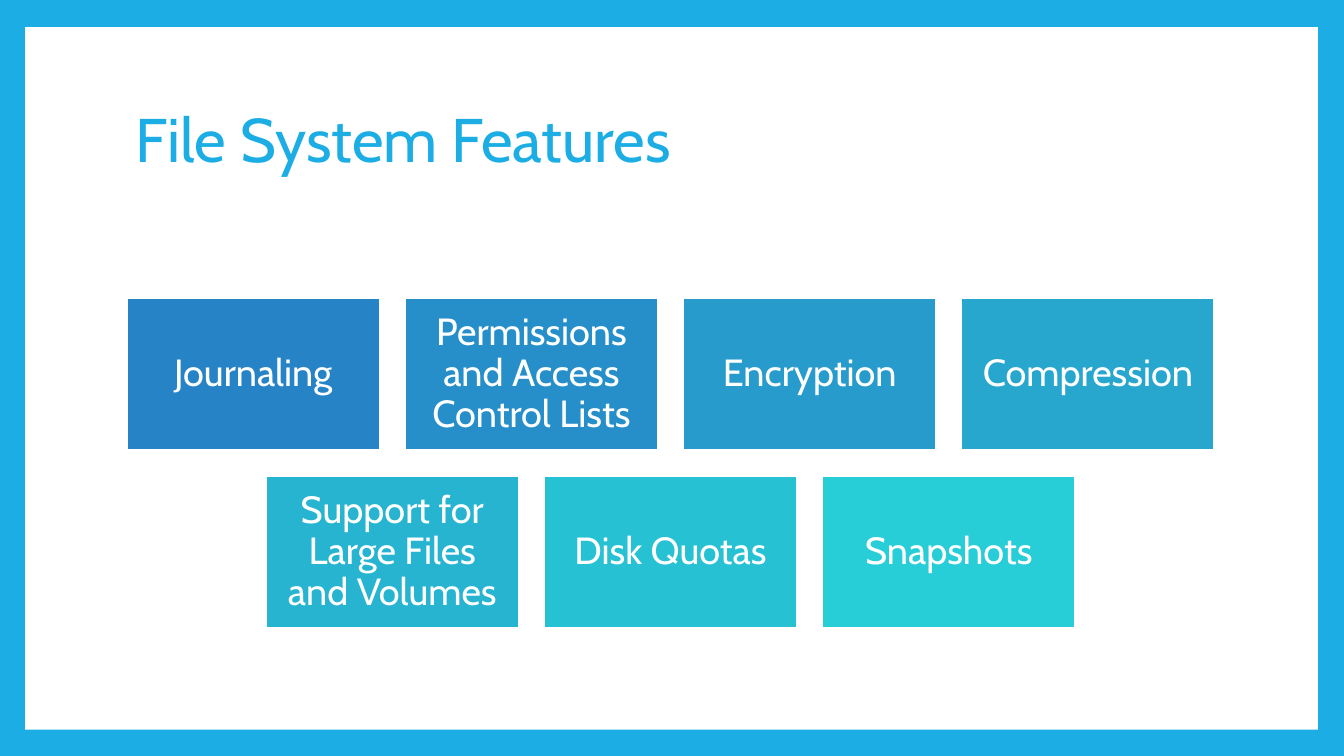
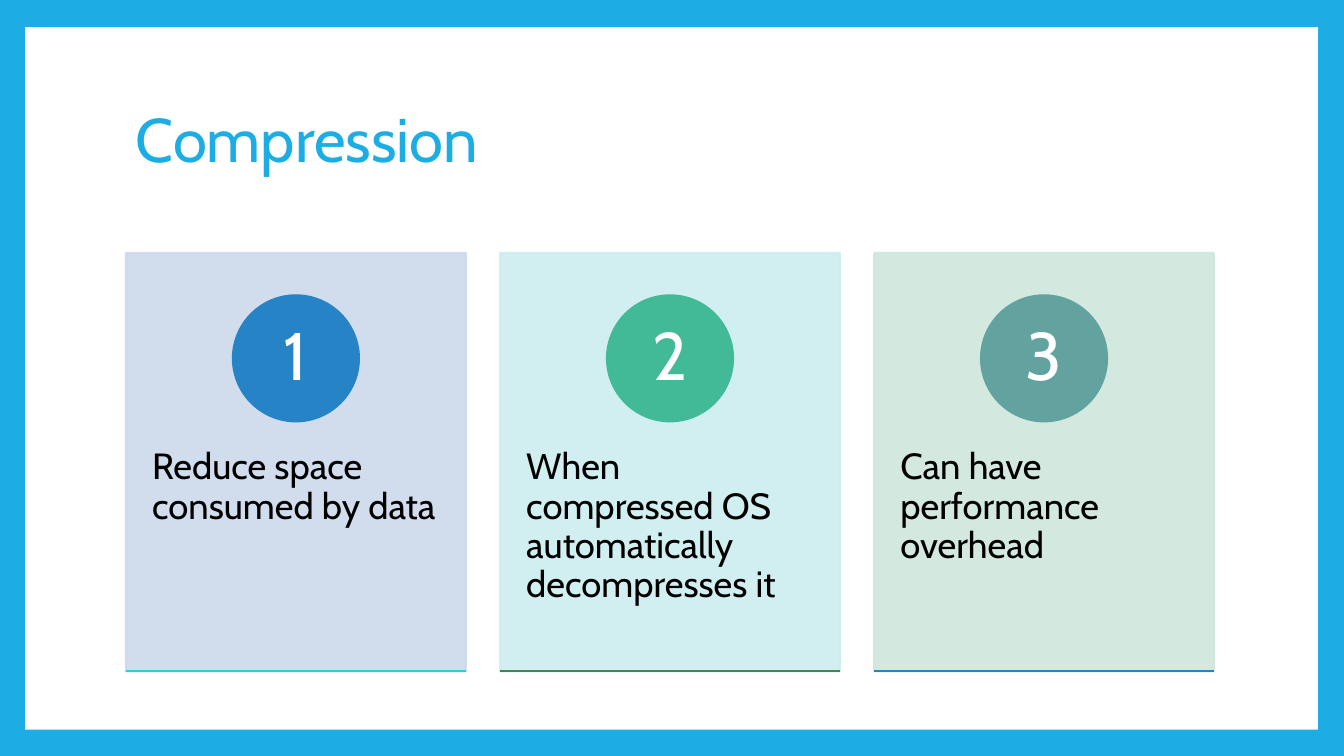
"""Build two slides on file system features and compression."""
import pptx
import pptx.dml.color
import pptx.enum.shapes
import pptx.enum.text
import pptx.oxml.ns
import pptx.util
from lxml import etree

Inches, Pt = pptx.util.Inches, pptx.util.Pt
RGBColor = pptx.dml.color.RGBColor
MSO_SHAPE = pptx.enum.shapes.MSO_SHAPE
MSO_ANCHOR = pptx.enum.text.MSO_ANCHOR
PP_ALIGN = pptx.enum.text.PP_ALIGN
qn = pptx.oxml.ns.qn

FONT = "Cabin"
WHITE = RGBColor(0xFF, 0xFF, 0xFF)
BLACK = RGBColor(0x00, 0x00, 0x00)
SKY = RGBColor(0x1C, 0xAD, 0xE4)
BLUE = RGBColor(0x26, 0x83, 0xC6)
TURQUOISE = RGBColor(0x27, 0xCE, 0xD7)
MINT = RGBColor(0x42, 0xBA, 0x97)
GREEN = RGBColor(0x3E, 0x88, 0x53)
TEAL = RGBColor(0x62, 0xA3, 0x9F)
PALE_BLUE = RGBColor(0xCD, 0xD9, 0xEA)
PALE_CYAN = RGBColor(0xCD, 0xED, 0xF0)
PALE_GREEN = RGBColor(0xCF, 0xE7, 0xDD)

FEATURE_ROWS = [
    [("Journaling", BLUE),
     ("Permissions and Access Control Lists", RGBColor(0x26, 0x8F, 0xC9)),
     ("Encryption", RGBColor(0x26, 0x9B, 0xCC)),
     ("Compression", RGBColor(0x27, 0xA7, 0xCE))],
    [("Support for Large Files and Volumes", RGBColor(0x27, 0xB4, 0xD1)),
     ("Disk Quotas", RGBColor(0x27, 0xC1, 0xD4)),
     ("Snapshots", TURQUOISE)],
]
COMPRESSION_POINTS = [
    ("Reduce space consumed by data", PALE_BLUE, BLUE, TURQUOISE),
    ("When compressed OS automatically decompresses it", PALE_CYAN, MINT, GREEN),
    ("Can have performance overhead", PALE_GREEN, TEAL, BLUE),
]

LEFT, CONTENT_W = 1.25, 10.8
CENTER = LEFT + CONTENT_W / 2
TILE_W, TILE_H, TILE_GAP, TILE_TOP = 2.51, 1.51, 0.25, 2.96
CARD_W, CARD_H, CARD_TOP = 3.37, 4.15, 2.51
CARD_STEP = 3.71
CIRCLE, CIRCLE_TOP = 1.25, 2.93


def write(shape, text, size=26, color=WHITE, align=PP_ALIGN.CENTER,
          anchor=MSO_ANCHOR.MIDDLE, insets=(0.1, 0.05, 0.1, 0.05)):
    """Put one formatted paragraph into a shape."""
    tf = shape.text_frame
    tf.word_wrap = True
    tf.vertical_anchor = anchor
    tf.margin_left, tf.margin_top, tf.margin_right, tf.margin_bottom = map(Inches, insets)
    p = tf.paragraphs[0]
    p.alignment = align
    p.line_spacing = 0.9
    r = p.add_run()
    r.text = text
    r.font.name = FONT
    r.font.size = Pt(size)
    r.font.color.rgb = color


def add_box(s, kind, left, top, width, height, fill, line=None, alpha=None):
    """Add a flat filled shape with an optional outline and opacity."""
    sp = s.shapes.add_shape(kind, *map(Inches, (left, top, width, height)))
    sp.shadow.inherit = False
    sp.fill.solid()
    sp.fill.fore_color.rgb = fill
    if line is None:
        sp.line.fill.background()
    else:
        sp.line.color.rgb = line
        sp.line.width = Pt(1.5)
    if alpha is not None:
        for clr in sp._element.spPr.iter(qn("a:srgbClr")):
            etree.SubElement(clr, qn("a:alpha"), val=str(alpha * 1000))
    return sp


def add_rule(s, left, top, width, color):
    """Add a horizontal line."""
    ends = map(Inches, (left, top, left + width, top))
    line = s.shapes.add_connector(pptx.enum.shapes.MSO_CONNECTOR.STRAIGHT, *ends)
    line.line.color.rgb = color
    line.line.width = Pt(1.5)
    etree.SubElement(line._element.spPr, qn("a:effectLst"))


def new_slide(prs, title):
    """Add a slide with the blue frame, white page and title."""
    s = prs.slides.add_slide(prs.slide_layouts[6])
    s.background.fill.solid()
    s.background.fill.fore_color.rgb = SKY
    add_box(s, MSO_SHAPE.RECTANGLE, 0.25, 0.27, 12.82, 6.97, WHITE)
    box = s.shapes.add_textbox(*map(Inches, (LEFT, 0.67, CONTENT_W, 1.48)))
    write(box, title, size=44, color=SKY, align=PP_ALIGN.LEFT)
    return s


def build_features(prs):
    """Draw centred rows of feature tiles."""
    s = new_slide(prs, "File System Features")
    for i, row in enumerate(FEATURE_ROWS):
        row_w = len(row) * (TILE_W + TILE_GAP) - TILE_GAP
        top = TILE_TOP + i * (TILE_H + TILE_GAP)
        for j, (text, color) in enumerate(row):
            left = CENTER - row_w / 2 + j * (TILE_W + TILE_GAP)
            tile = add_box(s, MSO_SHAPE.RECTANGLE, left, top, TILE_W, TILE_H, color, WHITE)
            write(tile, text, size=27, insets=(0.11,) * 4)


def build_compression(prs):
    """Draw numbered cards side by side."""
    s = new_slide(prs, "Compression")
    for i, (text, pale, strong, accent) in enumerate(COMPRESSION_POINTS):
        left = LEFT + i * CARD_STEP
        card = add_box(s, MSO_SHAPE.RECTANGLE, left, CARD_TOP, CARD_W, CARD_H,
                       pale, pale, alpha=90)
        write(card, text, color=BLACK, align=PP_ALIGN.LEFT,
              anchor=MSO_ANCHOR.TOP, insets=(0.26, 1.94, 0.26, 0.36))
        circle = add_box(s, MSO_SHAPE.OVAL, left + (CARD_W - CIRCLE) / 2, CIRCLE_TOP,
                         CIRCLE, CIRCLE, strong, strong)
        write(circle, str(i + 1), size=48, insets=(0.1, 0.01, 0.1, 0.01))
        add_rule(s, left, CARD_TOP + CARD_H, CARD_W, accent)


def main():
    """Build and save the presentation."""
    prs = pptx.Presentation()
    prs.slide_width, prs.slide_height = Inches(13.33), Inches(7.5)
    build_features(prs)
    build_compression(prs)
    prs.save("out.pptx")


if __name__ == "__main__":
    main()
